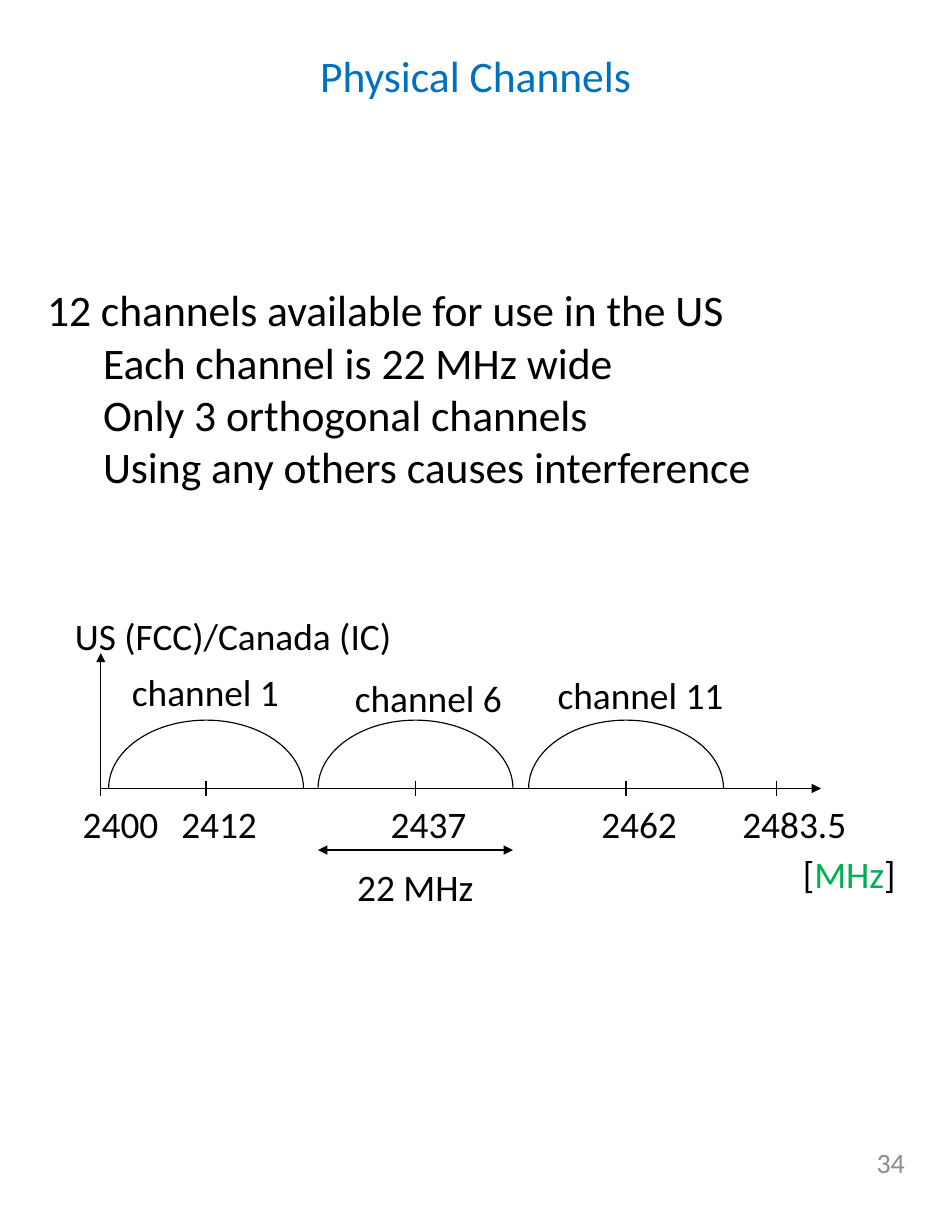
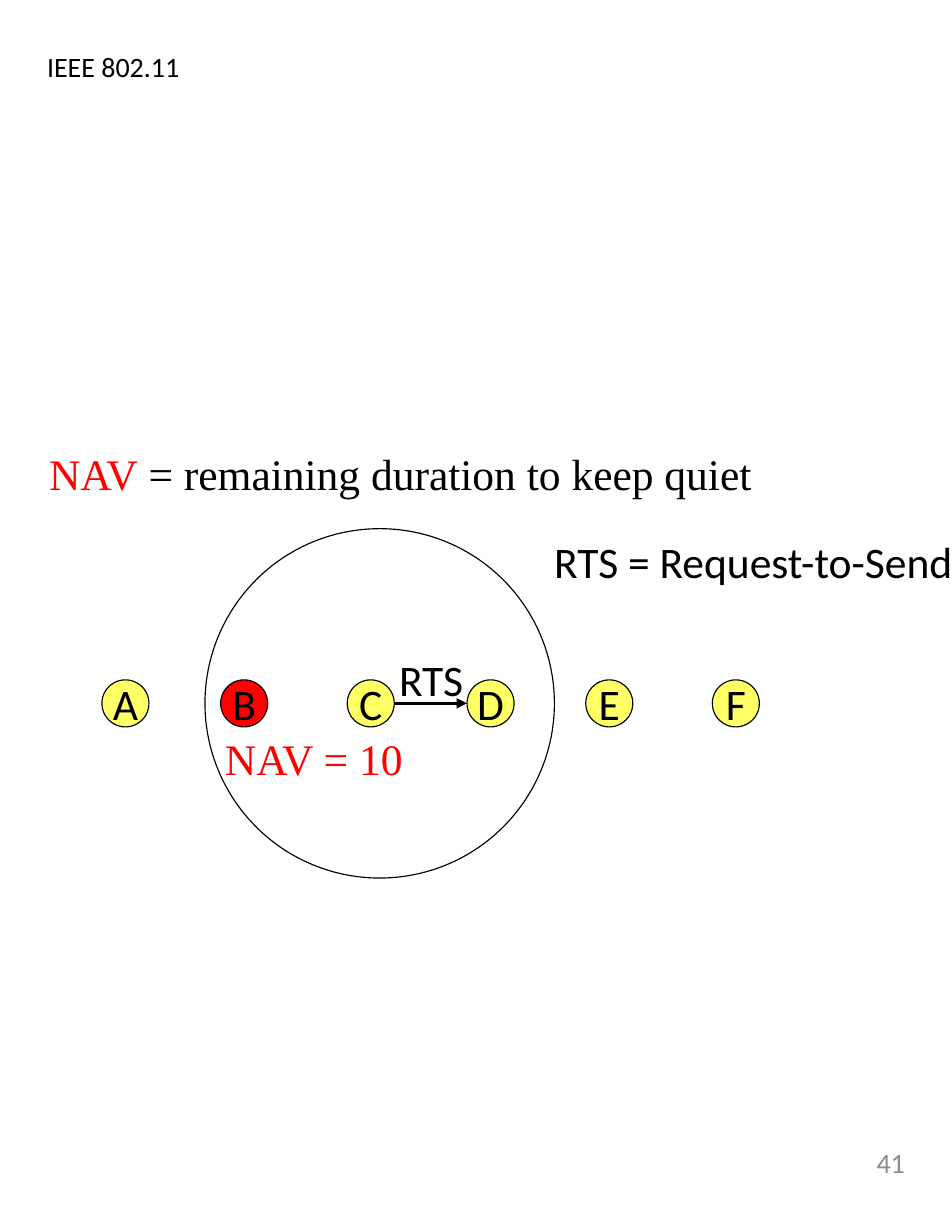
import pptx
import pptx.util
import pptx.dml.color
import pptx.enum.shapes
import pptx.enum.text
import pptx.oxml
import pptx.oxml.ns

Inches = pptx.util.Inches
Pt = pptx.util.Pt
RGBColor = pptx.dml.color.RGBColor
Align = pptx.enum.text.PP_ALIGN
Shape = pptx.enum.shapes.MSO_SHAPE

BLACK = RGBColor(0x00, 0x00, 0x00)
BLUE = RGBColor(0x00, 0x70, 0xC0)
GREEN = RGBColor(0x00, 0xB0, 0x50)
GRAY = RGBColor(0x8C, 0x8C, 0x8C)
RED = RGBColor(0xFF, 0x00, 0x00)
YELLOW = RGBColor(0xFF, 0xFF, 0x66)

SANS = "Calibri"
SERIF = "Times New Roman"

MARGIN = 0.42
CONTENT_WIDTH = 7.65
LABEL_HEIGHT = 0.5
CALLOUT_HEIGHT = 0.57

AXIS_LEFT, AXIS_RIGHT, AXIS_Y = 0.9, 7.33, 7.04
AXIS_TOP = 5.83
TICK_HALF = 0.07
CHANNEL_WIDTH, CHANNEL_HEIGHT = 1.74, 0.61

NODE_SIZE = 0.42
NODE_TOP = 6.07
NODE_MIDDLE = NODE_TOP + NODE_SIZE / 2


def style_paragraph(paragraph, size, color=BLACK, font=SANS, align=Align.LEFT):
    paragraph.alignment = align
    paragraph.font.size = Pt(size)
    paragraph.font.name = font
    paragraph.font.color.rgb = color


def add_text(page, left, top, width, height, spans, size, color=BLACK,
             font=SANS, align=Align.LEFT, wrap=False, inset=True):
    box = page.shapes.add_textbox(Inches(left), Inches(top), Inches(width), Inches(height))
    frame = box.text_frame
    frame.word_wrap = wrap
    if not inset:
        frame.margin_left = frame.margin_right = 0
        frame.margin_top = frame.margin_bottom = 0
    paragraph = frame.paragraphs[0]
    style_paragraph(paragraph, size, color, font, align)
    if isinstance(spans, str):
        spans = [(spans, color)]
    for text, span_color in spans:
        span = paragraph.add_run()
        span.text = text
        if span_color != color:
            span.font.color.rgb = span_color
    return box


def add_label(page, left, top, width, spans):
    add_text(page, left, top, width, LABEL_HEIGHT, spans, 24)


def add_callout(page, left, top, width, spans, **style):
    add_text(page, left, top, width, CALLOUT_HEIGHT, spans, 28, **style)


def add_title(page, text, size, color, align):
    add_text(page, MARGIN, 0.44, CONTENT_WIDTH, size / 60, text, size, color,
             align=align, wrap=True, inset=False)


def add_page_number(page, number):
    add_text(page, 6.12, 10.23, 1.96, 0.55, str(number), 18, GRAY,
             align=Align.RIGHT, wrap=True, inset=False)


def add_body(page, top, height, heading, details):
    box = add_text(page, MARGIN, top, CONTENT_WIDTH, height, heading, 28,
                   wrap=True, inset=False)
    for detail in details:
        paragraph = box.text_frame.add_paragraph()
        paragraph.text = detail
        paragraph.level = 1
        properties = paragraph._p.get_or_add_pPr()
        properties.set("marL", str(Inches(0.5)))
        properties.set("indent", "0")
        style_paragraph(paragraph, 28)


def add_line(page, start, end, weight=0.75, head=False, tail=False):
    line = page.shapes.add_connector(
        pptx.enum.shapes.MSO_CONNECTOR.STRAIGHT,
        Inches(start[0]), Inches(start[1]), Inches(end[0]), Inches(end[1]))
    line.line.color.rgb = BLACK
    line.line.width = Pt(weight)
    outline = line.line._get_or_add_ln()
    for wanted, tag in ((head, "a:headEnd"), (tail, "a:tailEnd")):
        if wanted:
            arrow = pptx.oxml.parse_xml(
                f'<{tag} {pptx.oxml.ns.nsdecls("a")} type="triangle"/>')
            outline.append(arrow)
    line._element.spPr.append(
        pptx.oxml.parse_xml(f'<a:effectLst {pptx.oxml.ns.nsdecls("a")}/>'))


def add_outline(page, kind, left, top, width, height, fill=None):
    shape = page.shapes.add_shape(
        kind, Inches(left), Inches(top), Inches(width), Inches(height))
    shape.shadow.inherit = False
    shape.line.color.rgb = BLACK
    shape.line.width = Pt(0.75)
    if fill is None:
        shape.fill.background()
    else:
        shape.fill.solid()
        shape.fill.fore_color.rgb = fill
    return shape


def add_channel_arc(page, center):
    arc = add_outline(page, Shape.ARC, center - CHANNEL_WIDTH / 2, AXIS_Y - CHANNEL_HEIGHT,
                      CHANNEL_WIDTH, 2 * CHANNEL_HEIGHT)
    arc.adjustments[0] = 108
    arc.adjustments[1] = 0


def add_node(page, name, left, fill):
    node = add_outline(page, Shape.OVAL, left, NODE_TOP, NODE_SIZE, NODE_SIZE, fill)
    frame = node.text_frame
    frame.word_wrap = False
    frame.vertical_anchor = pptx.enum.text.MSO_ANCHOR.MIDDLE
    frame.text = name
    style_paragraph(frame.paragraphs[0], 28, align=Align.CENTER)


def build_channels(page):
    add_page_number(page, 34)
    add_title(page, "Physical Channels", 28, BLUE, Align.CENTER)
    add_body(page, 2.53, 1.88, "12 channels available for use in the US", [
        "Each channel is 22 MHz wide",
        "Only 3 orthogonal channels",
        "Using any others causes interference",
    ])
    add_label(page, 0.57, 5.43, 3.05, "US (FCC)/Canada (IC)")

    origin = (AXIS_LEFT, AXIS_Y)
    add_line(page, origin, (AXIS_RIGHT, AXIS_Y), tail=True)
    add_line(page, origin, (AXIS_LEFT, AXIS_TOP), tail=True)
    ticks = [
        ("2400", AXIS_LEFT, 0.64, 0.88),
        ("2412", 1.84, 1.52, 0.88),
        ("2437", 3.71, 3.39, 0.88),
        ("2462", 5.59, 5.27, 0.88),
        ("2483.5", 6.93, 6.53, 1.14),
    ]
    for frequency, position, left, width in ticks:
        add_line(page, (position, AXIS_Y - TICK_HALF), (position, AXIS_Y + TICK_HALF))
        add_label(page, left, 7.1, width, frequency)
    add_label(page, 7.07, 7.55, 1.04, [("[", BLACK), ("MHz", GREEN), ("]", BLACK)])

    channels = [
        ("channel 1", 1.84, 1.08, 5.93, 1.53),
        ("channel 6", 3.71, 3.07, 5.98, 1.53),
        ("channel 11", 5.59, 4.88, 5.95, 1.7),
    ]
    for name, center, left, top, width in channels:
        add_channel_arc(page, center)
        add_label(page, left, top, width, name)
    add_line(page, (2.84, 7.59), (4.58, 7.59), head=True, tail=True)
    add_label(page, 3.09, 7.67, 1.25, "22 MHz")


def build_reservation(page):
    add_page_number(page, 41)
    add_title(page, "IEEE 802.11", 18, BLACK, Align.LEFT)
    nodes = {"A": 0.91, "B": 1.97, "C": 3.1, "D": 4.17, "E": 5.23, "F": 6.36}
    for name, left in nodes.items():
        add_node(page, name, left, RED if name == "B" else YELLOW)
    add_line(page, (nodes["C"] + NODE_SIZE, NODE_MIDDLE), (nodes["D"], NODE_MIDDLE),
             weight=2.25, tail=True)
    add_outline(page, Shape.OVAL, 1.83, 4.72, 3.12, 3.12)
    add_callout(page, 3.46, 5.78, 0.78, "RTS", align=Align.CENTER)
    add_callout(page, 4.82, 4.73, 3.81, "RTS = Request-to-Send", align=Align.CENTER)
    add_callout(page, 1.91, 6.49, 1.81, "NAV = 10", color=RED, font=SERIF)
    add_callout(page, 0.34, 3.94, 6.53,
                [("NAV", RED), (" = remaining duration to keep quiet", BLACK)], font=SERIF)


def main():
    deck = pptx.Presentation()
    deck.slide_width = Inches(8.5)
    deck.slide_height = Inches(11)
    blank = deck.slide_layouts[6]
    for build in (build_channels, build_reservation):
        build(deck.slides.add_slide(blank))
    deck.save("out.pptx")


if __name__ == "__main__":
    main()
